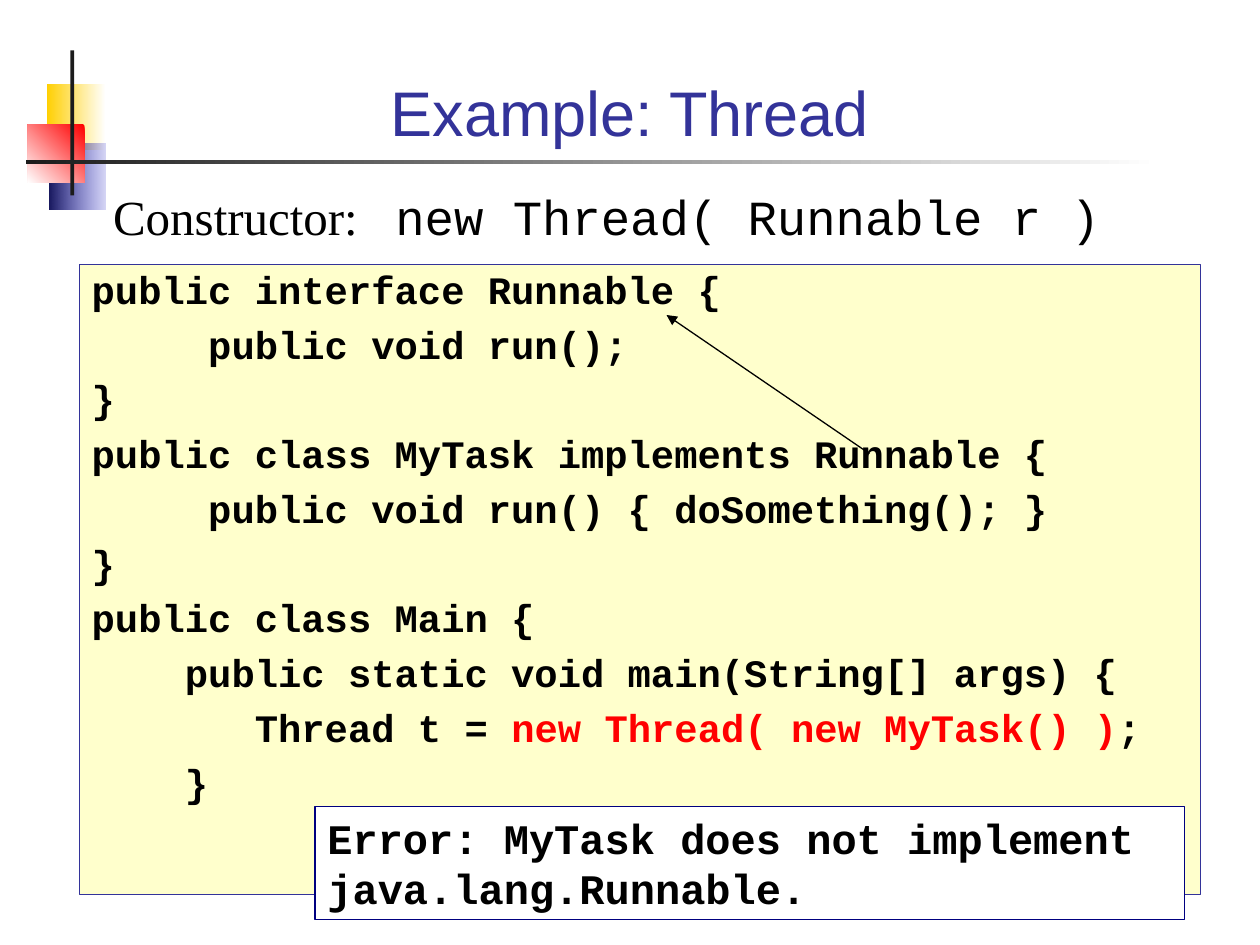
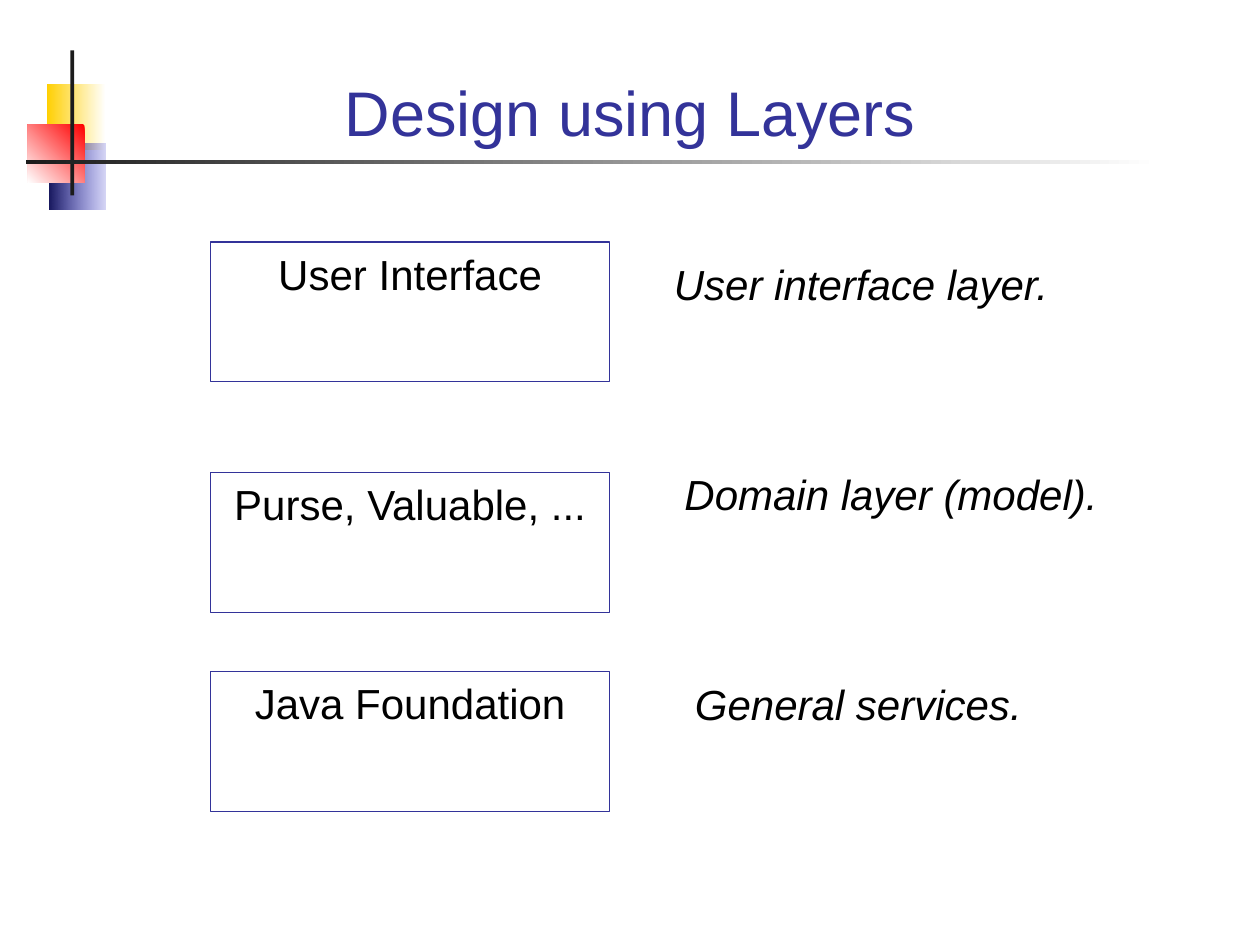
"""Builds two slides: a Runnable thread example and a layered design."""
from dataclasses import dataclass

from lxml.etree import SubElement
from pptx import Presentation
from pptx.dml.color import RGBColor as Rgb
from pptx.enum.shapes import MSO_CONNECTOR as Connector, MSO_SHAPE as Shape
from pptx.enum.text import MSO_ANCHOR as Anchor, PP_ALIGN as Align
from pptx.oxml.ns import qn
from pptx.util import Inches, Pt


@dataclass(frozen=True)
class Theme:
    title: str = "333399"
    text: str = "000000"
    highlight: str = "FF0000"
    white: str = "FFFFFF"
    code_fill: str = "FFFFCC"
    error_line: str = "000080"
    bar: str = "1C1C1C"
    yellow: str = "FFCF01"
    blue: str = "3333CC"
    navy: str = "17175E"
    sans: str = "Arial"
    serif: str = "Times New Roman"
    mono: str = "Courier New"
    title_size: float = 36
    lead_size: float = 28
    body_size: float = 24
    code_size: float = 22.2
    line_width: float = 0.75


THEME = Theme()

THREAD_TITLE = "Example: Thread"
CONSTRUCTOR_LABEL = "Constructor:"
CONSTRUCTOR_CALL = "new Thread( Runnable r )"
HIGHLIGHT = "new Thread( new MyTask() )"
CODE = [
    "public interface Runnable {",
    "     public void run();",
    "}",
    "public class MyTask implements Runnable {",
    "     public void run() { doSomething(); }",
    "}",
    "public class Main {",
    "    public static void main(String[] args) {",
    "       Thread t = new Thread( new MyTask() );",
    "    }",
]
ERROR = "Error: MyTask does not implement java.lang.Runnable."

LAYERS_TITLE = "Design using Layers"
LAYERS = [
    ("User Interface", 1.92, "User interface layer."),
    ("Purse, Valuable, ...", 3.75, "Domain layer (model)."),
    ("Java Foundation", 5.33, "General services."),
]

ORNAMENT = [
    ((0.37, 0.67, 0.47, 0.52), (THEME.white, THEME.yellow), 180, 100),
    ((0.39, 1.14, 0.45, 0.52), (THEME.blue, THEME.navy), 180, 20),
    ((0.22, 0.99, 0.45, 0.46), (THEME.highlight, THEME.white), 225, 100),
    ((0.56, 0.4, 0.03, 1.15), (THEME.bar, THEME.bar), 180, 100),
    ((0.21, 1.27, 8.99, 0.03), (THEME.white, THEME.bar), 180, 100),
]


def color(value):
    return Rgb.from_string(value)


def add_rectangle(slide, place, fill=None, line=None):
    shape = slide.shapes.add_shape(Shape.RECTANGLE, *map(Inches, place))
    shape.shadow.inherit = False
    if fill:
        shape.fill.solid()
        shape.fill.fore_color.rgb = color(fill)
    else:
        shape.fill.background()
    if line:
        shape.line.color.rgb = color(line)
        shape.line.width = Pt(THEME.line_width)
    else:
        shape.line.fill.background()
    return shape


def add_gradient(slide, place, colors, angle, start_opacity):
    shape = add_rectangle(slide, place, colors[0])
    if colors[0] == colors[1]:
        return
    shape.fill.gradient()
    shape.fill.gradient_angle = angle
    for stop, value in zip(shape.fill.gradient_stops, colors):
        stop.color.rgb = color(value)
    if start_opacity < 100:
        first = next(shape.element.iter(qn("a:srgbClr")))
        SubElement(first, qn("a:alpha"), val=str(start_opacity * 1000))


def style_run(run, font, size, value=THEME.text, bold=False, italic=False):
    run.font.name = font
    run.font.size = Pt(size)
    run.font.color.rgb = color(value)
    run.font.bold = bold
    run.font.italic = italic


def prepare_frame(shape, anchor=Anchor.TOP):
    frame = shape.text_frame
    frame.word_wrap = True
    frame.vertical_anchor = anchor
    return frame


def write(shape, text, font, size, align=Align.LEFT, anchor=Anchor.TOP, **style):
    frame = prepare_frame(shape, anchor)
    frame.text = text
    paragraph = frame.paragraphs[0]
    paragraph.alignment = align
    style_run(paragraph.runs[0], font, size, **style)


def add_text_box(slide, place):
    return slide.shapes.add_textbox(*map(Inches, place))


def add_base_slide(presentation, title):
    slide = presentation.slides.add_slide(presentation.slide_layouts[6])
    for part in ORNAMENT:
        add_gradient(slide, *part)
    write(add_text_box(slide, (0.67, 0.28, 8.66, 0.95)), title, THEME.sans,
          THEME.title_size, Align.CENTER, Anchor.BOTTOM, value=THEME.title)
    return slide


def write_code(shape):
    frame = prepare_frame(shape)
    for index, line in enumerate(CODE):
        paragraph = frame.add_paragraph() if index else frame.paragraphs[0]
        paragraph.alignment = Align.LEFT
        paragraph.line_spacing = 0.9
        if index:
            paragraph.space_before = Pt(7.3)
        before, match, after = line.partition(HIGHLIGHT)
        for text in filter(None, (before, match, after)):
            run = paragraph.add_run()
            run.text = text
            value = THEME.highlight if text == HIGHLIGHT else THEME.text
            style_run(run, THEME.mono, THEME.code_size, value, bold=True)


def write_constructor(shape):
    paragraph = prepare_frame(shape).paragraphs[0]
    tabs = SubElement(paragraph._p.get_or_add_pPr(), qn("a:tabLst"))
    SubElement(tabs, qn("a:tab"), pos=str(Inches(2.24)), algn="l")
    for text, font in ((CONSTRUCTOR_LABEL + "\t", THEME.serif),
                       (CONSTRUCTOR_CALL, THEME.mono)):
        run = paragraph.add_run()
        run.text = text
        style_run(run, font, THEME.lead_size)


def add_arrow(slide, start, end):
    arrow = slide.shapes.add_connector(Connector.STRAIGHT, *map(Inches, start + end))
    arrow.line.color.rgb = color(THEME.text)
    arrow.line.width = Pt(THEME.line_width)
    SubElement(arrow.line._get_or_add_ln(), qn("a:tailEnd"), type="triangle")
    SubElement(arrow._element.spPr, qn("a:effectLst"))


def build_thread_slide(presentation):
    slide = add_base_slide(presentation, THREAD_TITLE)
    write_code(add_rectangle(slide, (0.63, 2.1, 8.9, 5), THEME.code_fill, THEME.title))
    write_constructor(add_text_box(slide, (0.8, 1.43, 8.7, 0.57)))
    add_arrow(slide, (6.9, 3.6), (5.29, 2.5))
    error_box = add_rectangle(slide, (2.5, 6.4, 6.9, 0.9), THEME.white, THEME.error_line)
    write(error_box, ERROR, THEME.mono, THEME.body_size, bold=True)


def build_layers_slide(presentation):
    slide = add_base_slide(presentation, LAYERS_TITLE)
    for index, (layer, top, note) in enumerate(LAYERS):
        box = add_rectangle(slide, (1.67, top, 3.17, 1.11), line=THEME.title)
        write(box, layer, THEME.sans, THEME.body_size, Align.CENTER)
        note_place = (5.25 + index / 12, 2 + index * 5 / 3, 3.75, 0.5)
        write(add_text_box(slide, note_place), note, THEME.sans,
              THEME.body_size, italic=True)


def main():
    presentation = Presentation()
    presentation.slide_width = Inches(10)
    presentation.slide_height = Inches(7.5)
    build_thread_slide(presentation)
    build_layers_slide(presentation)
    presentation.save("out.pptx")


if __name__ == "__main__":
    main()
